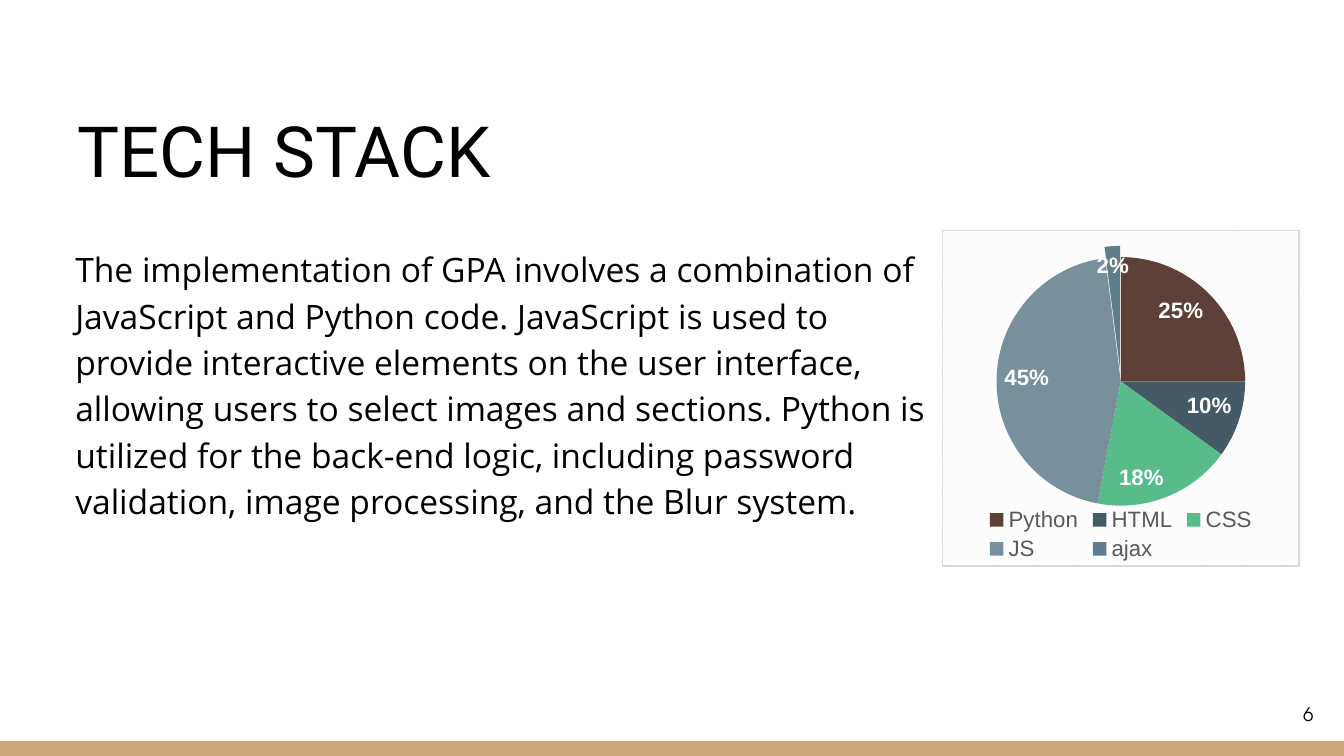
from pptx import Presentation
from pptx.chart.data import CategoryChartData
from pptx.dml.color import RGBColor
from pptx.enum.chart import XL_CHART_TYPE as ChartType, XL_LABEL_POSITION as LabelPos
from pptx.enum.chart import XL_LEGEND_POSITION as LegendPos
from pptx.enum.shapes import MSO_SHAPE as Preset
from pptx.enum.text import MSO_ANCHOR as Anchor, MSO_AUTO_SIZE as AutoSize, PP_ALIGN as Align
from pptx.oxml import parse_xml
from pptx.oxml.ns import nsdecls, qn
from pptx.util import Pt

SLIDE_W, SLIDE_H = 720, 405
INSET = 7.2
LANGUAGES = [("Python", 25, "5D4037"), ("HTML", 10, "455A64"), ("CSS", 18, "57BB8A"),
             ("JS", 45, "78909C"), ("ajax", 2, "607D8B")]
SUMMARY = ("The implementation of GPA involves a combination of JavaScript and Python code. "
           "JavaScript is used to provide interactive elements on the user interface, allowing "
           "users to select images and sections. Python is utilized for the back-end logic, "
           "including password validation, image processing, and the Blur system.")


def color(hex_value):
    return RGBColor.from_string(hex_value)


def format_font(font, hex_value, **values):
    for name, value in values.items():
        setattr(font, name, value)
    font.color.rgb = color(hex_value)


def fill_text(shape, box, text, anchor, align, face, size):
    """Place a text shape in its box and write one formatted paragraph."""
    for name, value in zip(("left", "top", "width", "height"), box):
        setattr(shape, name, Pt(value))
    frame = shape.text_frame
    settings = {"word_wrap": True, "auto_size": AutoSize.NONE, "vertical_anchor": anchor}
    settings.update({f"margin_{side}": Pt(INSET) for side in ("left", "top", "right", "bottom")})
    for name, value in settings.items():
        setattr(frame, name, value)
    paragraph = frame.paragraphs[0]
    paragraph.alignment = align
    run = paragraph.add_run()
    run.text = text
    format_font(run.font, "000000", name=face, size=Pt(size))
    return paragraph


def add_footer(slide, box):
    """Coloured band at the bottom edge, with the page number above it."""
    left, top, width, height = box
    band_h = 8
    band = slide.shapes.add_shape(Preset.RECTANGLE, Pt(left), Pt(top + height - band_h),
                                  Pt(width), Pt(band_h))
    band.shadow.inherit = False
    band.fill.solid()
    band.fill.fore_color.rgb = color("CCA677")
    band.line.fill.background()
    number_box = (left + width - 52.5, top, 43.2, 31)
    number = slide.shapes.add_textbox(*map(Pt, number_box))
    fill_text(number, number_box, "6", Anchor.MIDDLE, Align.RIGHT, "TeX Gyre Adventor", 10)


def add_summary(slide, box):
    """Body paragraph without a bullet."""
    paragraph = fill_text(slide.placeholders[1], box, SUMMARY, Anchor.TOP, Align.LEFT,
                          "Open Sans", 18)
    paragraph.line_spacing = 1.15
    paragraph.space_before = Pt(0)
    properties = paragraph._p.get_or_add_pPr()
    properties.set("marL", str(Pt(8.64)))
    properties.set("indent", "0")
    properties.append(parse_xml(f"<a:buNone {nsdecls('a')}/>"))


def style_chart_area(chart):
    """Hatched background, thin border and fixed plot position."""
    chart_area = parse_xml(
        f'<c:spPr {nsdecls("c", "a")}><a:pattFill prst="dkDnDiag">'
        '<a:fgClr><a:srgbClr val="F2F2F2"/></a:fgClr><a:bgClr><a:srgbClr val="FFFFFF"/></a:bgClr>'
        f'</a:pattFill><a:ln w="{Pt(0.75)}"><a:solidFill><a:srgbClr val="D9D9D9"/></a:solidFill>'
        '</a:ln></c:spPr>')
    chart_xml = chart._chartSpace.find(qn("c:chart"))
    chart_xml.addnext(chart_area)
    plot_area = chart_xml.find(qn("c:plotArea"))
    for old_layout in plot_area.findall(qn("c:layout")):
        plot_area.remove(old_layout)
    position = {"x": 0.15, "y": 0.08, "w": 0.7, "h": 0.74}
    values = "".join(f'<c:{key} val="{value}"/>' for key, value in position.items())
    plot_area.insert(0, parse_xml(
        f'<c:layout {nsdecls("c")}><c:manualLayout><c:layoutTarget val="inner"/>'
        f'<c:xMode val="edge"/><c:yMode val="edge"/>{values}</c:manualLayout></c:layout>'))


def add_language_pie(slide, box):
    """Share of each language, with the last slice pulled out."""
    data = CategoryChartData()
    data.categories = [name for name, _, _ in LANGUAGES]
    data.add_series("Series 1", [share for _, share, _ in LANGUAGES])
    chart = slide.shapes.add_chart(ChartType.PIE, *map(Pt, box), data).chart
    format_font(chart.font, "000000", name="Arial", size=Pt(10))
    chart.has_title = False
    chart.has_legend = True
    legend = chart.legend
    legend.position = LegendPos.BOTTOM
    legend.include_in_layout = False
    format_font(legend.font, "595959", name="Arial", size=Pt(12))

    pie = chart.plots[0]
    pie.vary_by_categories = True
    shares = pie.series[0]
    for index, (_, _, slice_color) in enumerate(LANGUAGES):
        fill = shares.points[index].format.fill
        fill.solid()
        fill.fore_color.rgb = color(slice_color)
    last_slice = shares._element.findall(qn("c:dPt"))[-1]
    last_slice.find(qn("c:spPr")).addprevious(
        parse_xml(f'<c:explosion {nsdecls("c")} val="9"/>'))

    labels = shares.data_labels
    settings = {"show_percentage": True, "show_value": False, "number_format": "0%",
                "number_format_is_linked": False, "position": LabelPos.INSIDE_END}
    for name, value in settings.items():
        setattr(labels, name, value)
    format_font(labels.font, "FFFFFF", name="Arial", size=Pt(12), bold=True)
    style_chart_area(chart)


def build_tech_stack(prs):
    slide = prs.slides.add_slide(prs.slide_layouts[1])
    slide.background.fill.solid()
    slide.background.fill.fore_color.rgb = color("FFFFFF")
    add_footer(slide, (0, 367, SLIDE_W, SLIDE_H - 367))
    fill_text(slide.shapes.title, (34.5, 62, 638, 48), "TECH STACK", Anchor.BOTTOM, Align.LEFT,
              "Roboto", 37.8)
    content_top, split = 123, 504.7
    add_summary(slide, (24.5, content_top, split - 24.5, 237.6))
    add_language_pie(slide, (split, content_top, 191.5, 180.7))


prs = Presentation()
prs.slide_width, prs.slide_height = Pt(SLIDE_W), Pt(SLIDE_H)
build_tech_stack(prs)
prs.save("out.pptx")
